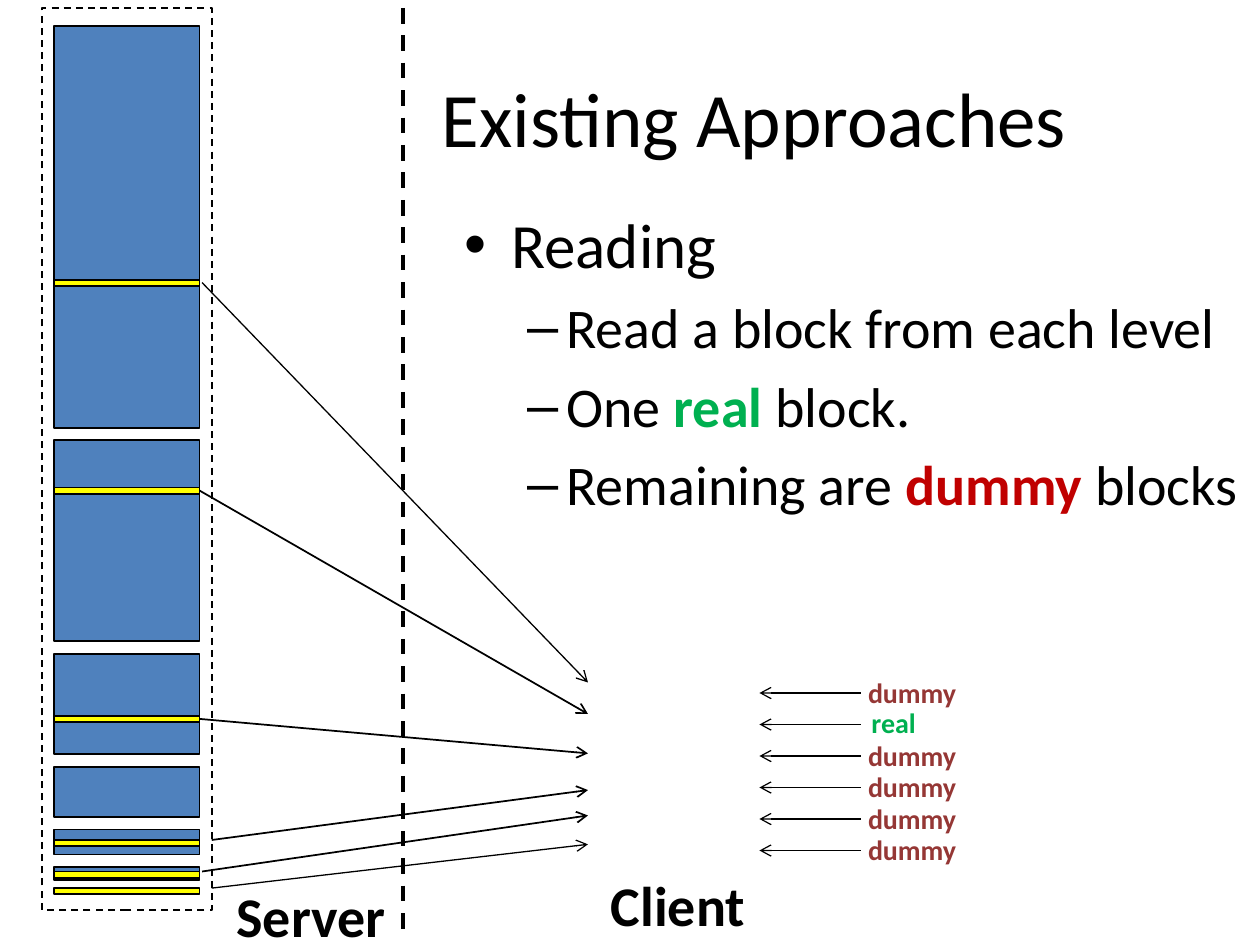
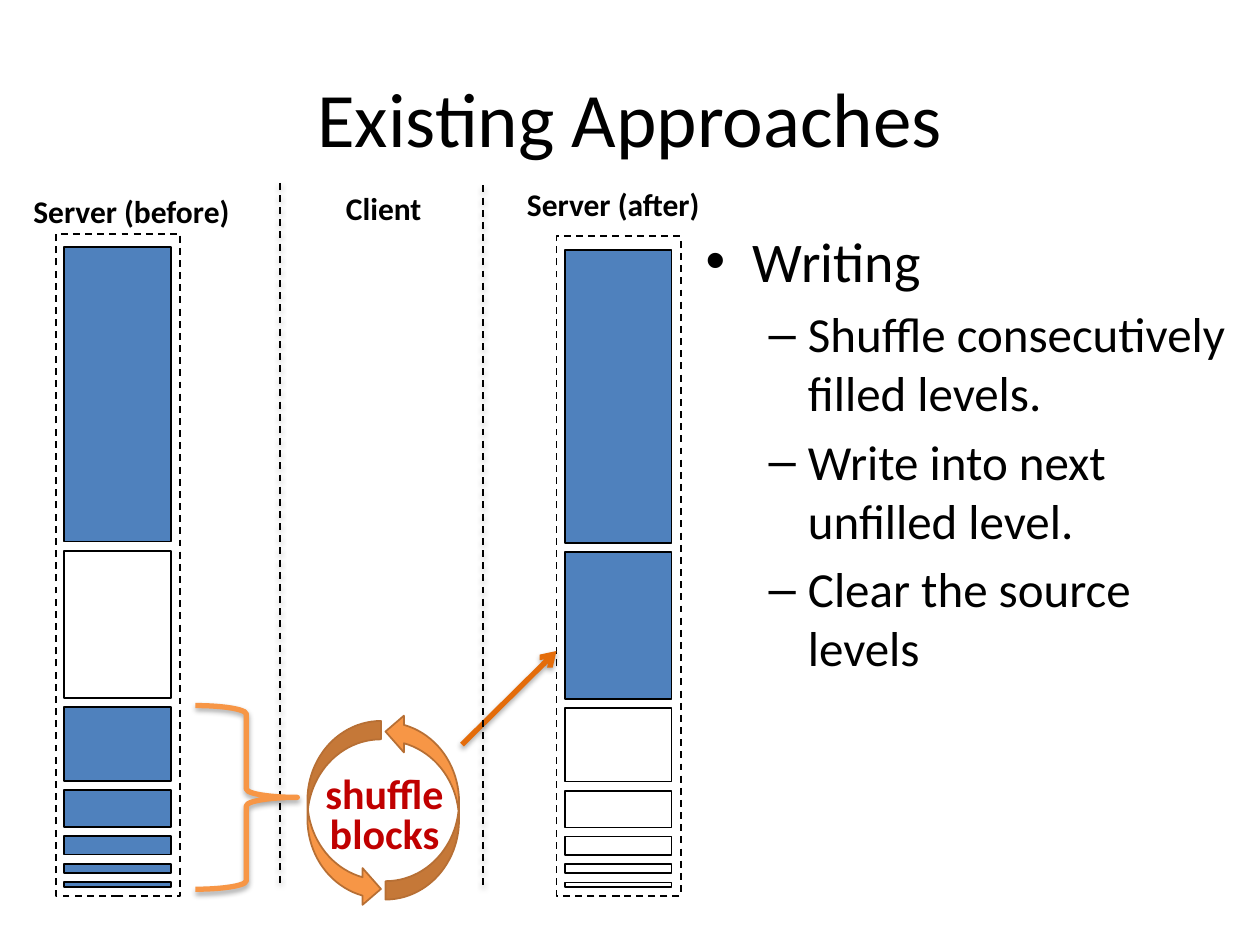
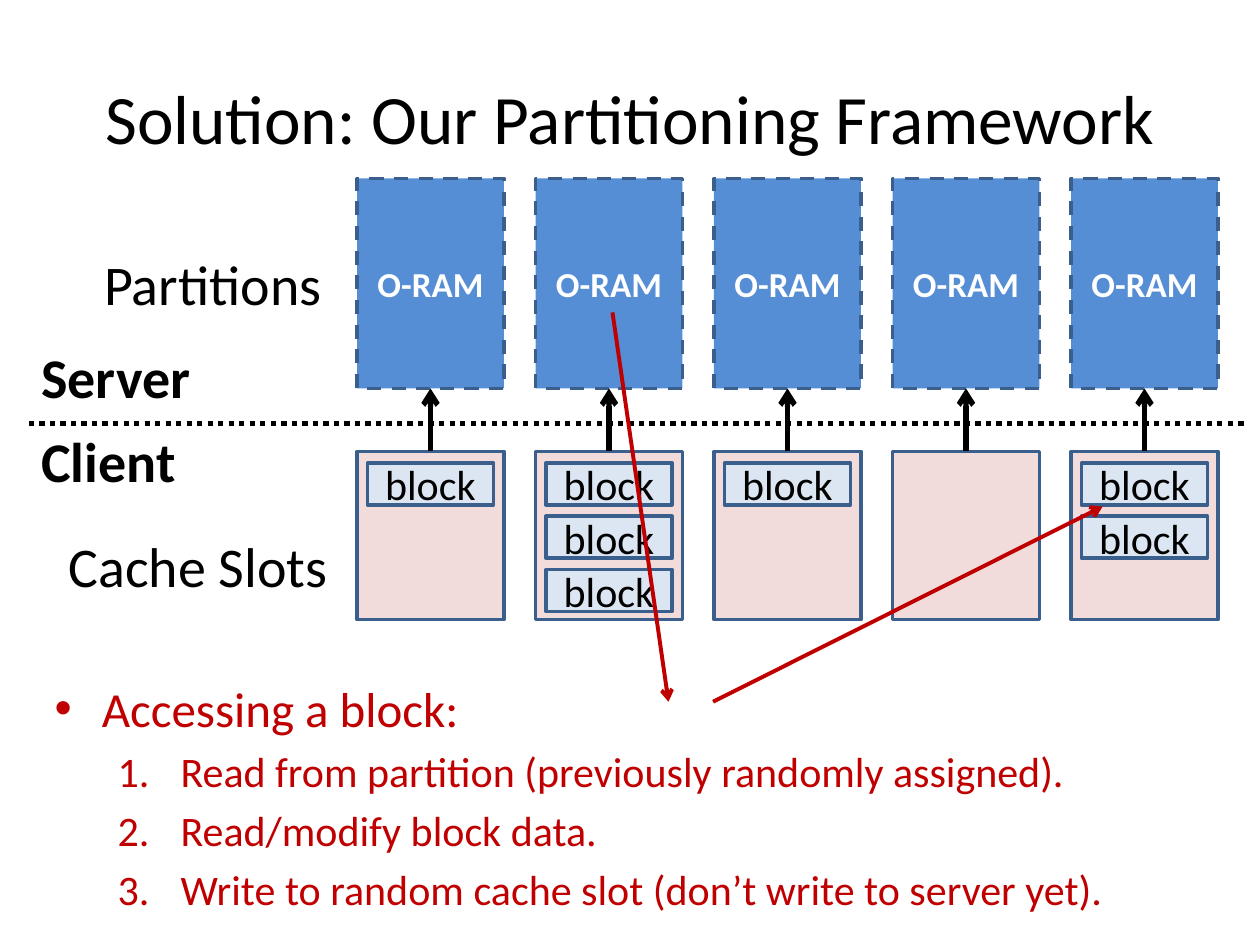
from pptx import Presentation
from pptx.dml.color import RGBColor
from pptx.enum.dml import MSO_LINE
from pptx.enum.shapes import MSO_CONNECTOR, MSO_SHAPE
from pptx.enum.text import MSO_ANCHOR, MSO_AUTO_SIZE, PP_ALIGN
from pptx.oxml.ns import qn
from pptx.util import Pt
from lxml import etree

RECT = MSO_SHAPE.RECTANGLE
CURVED_ARROW = MSO_SHAPE.CURVED_RIGHT_ARROW
BRACE = MSO_SHAPE.RIGHT_BRACE
STRAIGHT = MSO_CONNECTOR.STRAIGHT
DASH = MSO_LINE.DASH
DOT = MSO_LINE.ROUND_DOT
CENTER = PP_ALIGN.CENTER
LEFT = PP_ALIGN.LEFT
MIDDLE = MSO_ANCHOR.MIDDLE
FIT = MSO_AUTO_SIZE.SHAPE_TO_FIT_TEXT
NO_FIT = MSO_AUTO_SIZE.NONE
TOP_SIDE, BOTTOM_SIDE, RIGHT_SIDE = 0, 2, 3

FONT = "Calibri"
BLACK, WHITE, YELLOW = "000000", "FFFFFF", "FFFF00"
BLUE, SKY, PALE_BLUE, NAVY = "4F81BD", "558ED5", "DCE6F2", "3A5F8C"
RED, MAROON, PINK, GREEN = "C00000", "953735", "F2DCDB", "00B050"
ORANGE, DARK_ORANGE, BROWN = "F79646", "E46C0A", "B76F34"


def rgb(value):
    return RGBColor.from_string(value)


def add_xml(parent, tag, **attrs):
    return etree.SubElement(parent, qn(tag), attrs)


def add_shadow(effects):
    shadow = add_xml(effects, "a:outerShdw", blurRad="40000", dist="23000",
                     dir="5400000", rotWithShape="0")
    color = add_xml(shadow, "a:srgbClr", val=BLACK)
    add_xml(color, "a:alpha", val="35000")


class Deck:
    def __init__(self):
        self.prs = Presentation()
        self.prs.slide_width, self.prs.slide_height = Pt(720), Pt(540)
        self.s = None

    def place(self, sp, box):
        for name, value in zip(("left", "top", "width", "height"), box):
            setattr(sp, name, Pt(value))

    def run(self, p, text, size, color=BLACK, bold=False):
        r = p.add_run()
        r.text = text
        r.font.color.rgb = rgb(color)
        values = {"name": FONT, "size": Pt(size), "bold": bold}
        for name, value in values.items():
            setattr(r.font, name, value)

    def slide(self, title, left=36, width=648, size=44):
        self.s = self.prs.slides.add_slide(self.prs.slide_layouts[1])
        sp = self.s.shapes.title
        self.place(sp, (left, 21.6, width, 90))
        tf = sp.text_frame
        tf.auto_size = NO_FIT
        tf.vertical_anchor = MIDDLE
        p = tf.paragraphs[0]
        p.alignment = CENTER
        self.run(p, title, size)

    def body(self, box, head, items, sizes, color=BLACK, numbered=False):
        sp = self.s.placeholders[1]
        self.place(sp, box)
        tf = sp.text_frame
        tf.auto_size = NO_FIT
        self.run(tf.paragraphs[0], head, sizes[0], color)
        for item in items:
            p = tf.add_paragraph()
            p.level = 1
            for text, *emphasis in item:
                self.run(p, text, sizes[1], *(emphasis or [color]),
                         bold=bool(emphasis))
            if numbered:
                pPr = p._p.get_or_add_pPr()
                pPr.set("marL", str(Pt(72)))
                pPr.set("indent", str(-Pt(36)))
                add_xml(pPr, "a:buFont", typeface="+mj-lt")
                add_xml(pPr, "a:buAutoNum", type="arabicPeriod")

    def shape(self, box, fill=None, line=BLACK, weight=1, kind=RECT, dash=None):
        sp = self.s.shapes.add_shape(kind, *map(Pt, box))
        sp.shadow.inherit = False
        if fill:
            sp.fill.solid()
            sp.fill.fore_color.rgb = rgb(fill)
        else:
            sp.fill.background()
        self.outline(sp, line, weight, dash)
        return sp

    def outline(self, sp, color, weight, dash):
        sp.line.color.rgb = rgb(color)
        sp.line.width = Pt(weight)
        if dash:
            sp.line.dash_style = dash

    def card(self, box, text, size, fill, color, bold=False, dash=None):
        sp = self.shape(box, fill, NAVY, 2, dash=dash)
        tf = sp.text_frame
        tf.vertical_anchor = MIDDLE
        p = tf.paragraphs[0]
        p.alignment = CENTER
        self.run(p, text, size, color, bold)
        return sp

    def label(self, box, lines, size, color=BLACK, bold=True, align=LEFT,
              wrap=False, spacing=None, inset=None):
        tf = self.s.shapes.add_textbox(*map(Pt, box)).text_frame
        tf.word_wrap = wrap
        tf.auto_size = FIT
        if inset is not None:
            for side in ("left", "top", "right", "bottom"):
                setattr(tf, "margin_" + side, Pt(inset))
        for i, text in enumerate(lines):
            p = tf.add_paragraph() if i else tf.paragraphs[0]
            p.alignment = align
            if spacing:
                p.line_spacing = spacing
            self.run(p, text, size, color, bold)

    def line(self, start, end, weight=1, color=BLACK, dash=None, arrow=False,
             shadow=False, begin=None, finish=None):
        c = self.s.shapes.add_connector(STRAIGHT, *map(Pt, (*start, *end)))
        if begin:
            c.begin_connect(*begin)
        if finish:
            c.end_connect(*finish)
        self.outline(c, color, weight, dash)
        if arrow:
            add_xml(c.line._get_or_add_ln(), "a:tailEnd", type="arrow")
        effects = add_xml(c._element.spPr, "a:effectLst")
        if shadow:
            add_shadow(effects)

    def stack(self, frame, left, top, width, unit, gap, fills):
        self.shape(frame, dash=DASH)
        for i, fill in enumerate(fills):
            height = unit * 2 ** (len(fills) - 1 - i)
            self.shape((left, top, width, height), fill)
            top += height + gap


def reading_slide(deck):
    deck.slide("Existing Approaches", 178, 506)
    deck.body((258, 114, 462, 356), "Reading", [
        [("Read a block from each level",)],
        [("One ",), ("real ", GREEN), ("block.",)],
        [("Remaining are ",), ("dummy", RED), (" blocks",)],
    ], (36, 32))
    deck.stack((24, 4.5, 97, 515.5), 31, 15, 83, 7.17, 7.2, [BLUE] * 6)

    reads = [
        (160, (115.5, 161.5), 390, 0.75),
        (278.5, None, 408, 1),
        (409, None, 430.5, 1),
        (480, (121, 480), 451.5, 1),
        (498, (115.5, 498), 466, 1),
        (507.5, (121, 507.5), 482.5, 0.75),
    ]
    for top, start, end, weight in reads:
        bar = deck.shape((31, top, 83, 3.6), YELLOW)
        begin = None if start else (bar, RIGHT_SIDE)
        deck.line(start or (114, top + 1.8), (336, end), weight,
                  arrow=True, begin=begin)

    deck.line((230.5, 4.5), (230.5, 534), 2.25, dash=DASH)
    deck.label((342, 494, 92, 46), ["Client"], 32)
    deck.label((128, 500, 101, 46), ["Server"], 32)
    for i in range(6):
        y = 396 + 18 * i
        deck.line((492, y), (434, y), 0.75, arrow=True)
        if i == 1:
            deck.label((498, y - 10.8, 26, 19.4), ["real"], 16, GREEN, inset=0)
        else:
            deck.label((496, y - 10, 51, 19.4), ["dummy"], 16, MAROON, inset=0)


def writing_slide(deck):
    deck.slide("Existing Approaches")
    deck.body((396, 126, 318, 356), "Writing", [
        [("Shuffle consecutively filled levels.",)],
        [("Write into next unfilled level.",)],
        [("Clear the source levels",)],
    ], (32, 28))
    deck.stack((32, 133.5, 71, 378.5), 36.7, 141.2, 61, 2.63, 5.26,
               [BLUE, None] + [BLUE] * 5)
    deck.label((12, 106, 127.5, 29), ["Server (before)"], 18)
    deck.stack((318, 135, 71, 377), 323, 142.7, 60.7, 2.62, 5.24,
               [BLUE] * 2 + [None] * 5)
    deck.line((264, 425.5), (318, 372), 3, DARK_ORANGE, arrow=True, shadow=True)
    for x, top in ((276, 106), (160, 104.5)):
        deck.line((x, top), (x, 506), dash=DASH, shadow=True)
    deck.label((294, 102, 114.5, 29), ["Server (after)"], 18)
    deck.label((150.5, 104.5, 137.5, 29), ["Client"], 18, align=CENTER, wrap=True)
    for left, top, angle in ((175.7, 412, 0), (220.3, 407.5, 180)):
        arrow = deck.shape((left, top, 42, 106.5), ORANGE, BROWN, kind=CURVED_ARROW)
        arrow.rotation = angle
    deck.label((178, 440.6, 83.5, 54.7), ["shuffle", "blocks"], 24, RED,
               align=CENTER, spacing=0.8)
    brace = deck.shape((111.6, 403.2, 58.3, 105), None, ORANGE, 3, BRACE)
    add_shadow(brace._element.spPr.find(qn("a:effectLst")))


def partition_slide(deck):
    deck.slide("Solution: Our Partitioning Framework", size=39.6)
    deck.body((24, 384, 690, 144), "Accessing a block:", [
        [("Read from partition (previously randomly assigned).",)],
        [("Read/modify block data.",)],
        [("Write to random cache slot (don’t write to server yet).",)],
    ], (28, 24), RED, numbered=True)

    for i, blocks in enumerate((1, 3, 1, 0, 2)):
        left = 204 + 102 * i
        partition = deck.card((left, 102, 84, 120), "O-RAM", 20, SKY, WHITE,
                              True, DASH)
        slot = deck.shape((left, 258, 84, 96), PINK, NAVY, 2)
        for j in range(blocks):
            deck.card((left + 6, 264.5 + 30.5 * j, 72, 24), "block", 24,
                      PALE_BLUE, BLACK)
        deck.line((left + 42, 258), (left + 42, 222), 3, arrow=True,
                  begin=(slot, TOP_SIDE), finish=(partition, BOTTOM_SIDE))

    deck.line((16.5, 242), (712, 242), 3, dash=DOT)
    labels = [
        ("Server", (16.5, 192, 101, 46), True),
        ("Client", (16.5, 240, 92, 46), True),
        ("Partitions", (52.5, 139, 140.5, 46), False),
        ("Cache Slots", (32, 300, 164, 46), False),
    ]
    for text, box, bold in labels:
        deck.label(box, [text], 32, bold=bold)
    for start, end in (((350, 178.5), (382, 401)), ((407.5, 401), (630, 289.5))):
        deck.line(start, end, 2.25, RED, arrow=True)


def main():
    deck = Deck()
    reading_slide(deck)
    writing_slide(deck)
    partition_slide(deck)
    deck.prs.save("out.pptx")


if __name__ == "__main__":
    main()
